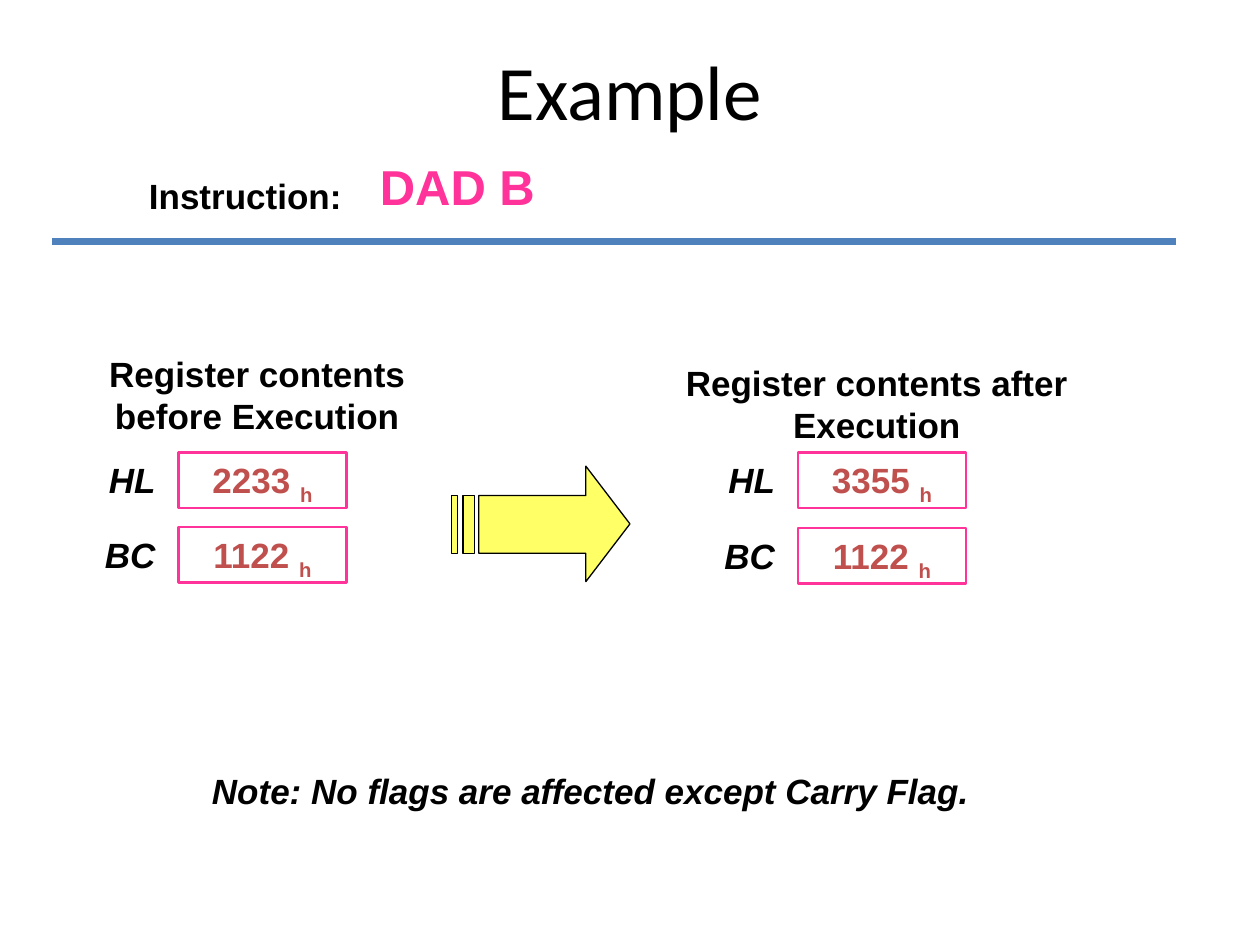
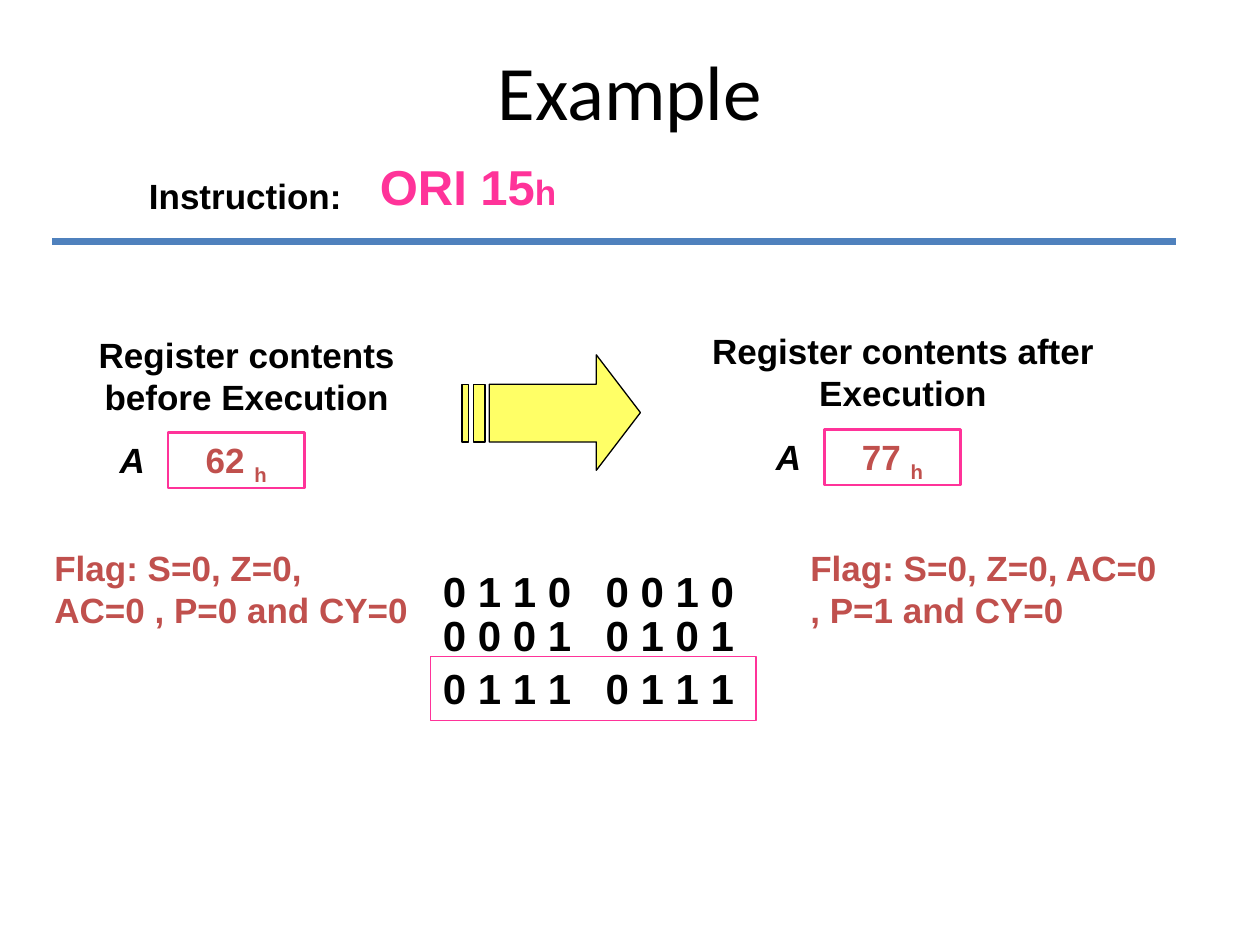
from lxml.etree import SubElement as Sub
from pptx import Presentation
from pptx.dml.color import RGBColor as Rgb
from pptx.enum.shapes import MSO_CONNECTOR as Conn, MSO_SHAPE as Shape
from pptx.enum.text import MSO_ANCHOR as Anchor, MSO_AUTO_SIZE as Auto, PP_ALIGN as Align
from pptx.oxml.ns import qn
from pptx.util import Pt

PX = 7620
BLACK = Rgb(0x00, 0x00, 0x00)
PINK = Rgb(0xFF, 0x33, 0x99)
RED = Rgb(0xC0, 0x50, 0x4D)
BLUE = Rgb(0x4F, 0x81, 0xBD)
YELLOW = Rgb(0xFF, 0xFF, 0x66)

HEAD = [(128, 0), (128, 28), (26, 28), (26, 83), (128, 83), (128, 110), (170, 55)]
STRIPES = [(11, 22), (0, 6)]


def emu(*sizes):
    return [size * PX for size in sizes]


class Deck:
    def __init__(self):
        self.prs = Presentation()
        self.prs.slide_width, self.prs.slide_height = emu(1200, 900)
        self.slide = None

    def start(self, title, code, tail=""):
        self.slide = self.prs.slides.add_slide(self.prs.slide_layouts[5])
        box = self.slide.shapes.title
        box.left, box.top, box.width, box.height = emu(90, 10, 1020, 150)
        frame = box.text_frame
        frame.text = title
        frame.vertical_anchor = Anchor.MIDDLE
        frame.paragraphs[0].alignment = Align.CENTER
        self.style(frame.paragraphs[0].runs[0], 44, bold=False, face="Calibri")
        self.text(130, 160, 220, 51, "Instruction:")
        para = self.text(350, 143, 340, 68, code, size=28, color=PINK)
        if tail:
            self.style(self.add(para, tail), 20, PINK)
        self.rule(50, 230, 1120)

    def style(self, run, size=20, color=BLACK, bold=True, slant=False, face="Arial"):
        font = run.font
        font.name, font.size = face, Pt(size)
        font.bold, font.italic = bold, slant
        font.color.rgb = color

    def add(self, para, text):
        run = para.add_run()
        run.text = text
        return run

    def label(self, shape, text, align=Align.LEFT, **look):
        frame = shape.text_frame
        frame.word_wrap = True
        frame.auto_size = Auto.SHAPE_TO_FIT_TEXT
        frame.vertical_anchor = Anchor.TOP
        frame.text = text
        para = frame.paragraphs[0]
        para.alignment = align
        self.style(para.runs[0], **look)
        return para

    def text(self, x, y, w, h, text, **look):
        box = self.slide.shapes.add_textbox(*emu(x, y, w, h))
        return self.label(box, text, **look)

    def frame(self, x, y, w, h, text, width=1.5, **look):
        box = self.slide.shapes.add_shape(Shape.RECTANGLE, *emu(x, y, w, h))
        box.shadow.inherit = False
        box.fill.background()
        box.line.color.rgb = PINK
        box.line.width = Pt(width)
        return self.label(box, text, **look)

    def rule(self, x, y, end):
        line = self.slide.shapes.add_connector(Conn.STRAIGHT, *emu(x, y, end, y))
        line.line.color.rgb = BLUE
        line.line.width = Pt(4.5)
        Sub(line._element.spPr, qn("a:effectLst"))

    def arrow(self, x, y):
        bars = [[(a, 28), (a, 83), (b, 83), (b, 28)] for a, b in STRIPES]
        pen = self.slide.shapes.build_freeform(*HEAD[0], scale=PX)
        pen.add_line_segments(HEAD[1:])
        for bar in bars:
            pen.move_to(*bar[0])
            pen.add_line_segments(bar[1:])
        shape = pen.convert_to_shape(*emu(x, y))
        shape.shadow.inherit = False
        shape.fill.solid()
        shape.fill.fore_color.rgb = YELLOW
        shape.line.color.rgb = BLACK
        shape.line.width = Pt(0.75)

    def state(self, x, y, when, top, width, rows, pitch=71):
        self.text(x, y, 390, 92, f"Register contents {when} Execution", align=Align.CENTER)
        for i, (name, value) in enumerate(rows):
            row = top + i * pitch
            para = self.frame(x + 120, row, width, 53, f"{value} ",
                              align=Align.CENTER, color=RED)
            run = self.add(para, "h")
            self.style(run, color=RED)
            run._r.get_or_add_rPr().set("baseline", "-25000")
            self.text(x, row, 110, 51, name, align=Align.RIGHT, slant=True)

    def flags(self, x, width, text):
        self.text(x, 515, width, 92, text, color=RED)

    def tab(self, para, x):
        tabs = Sub(para._p.get_or_add_pPr(), qn("a:tabLst"))
        Sub(tabs, qn("a:tab"), pos=str(x * PX), algn="l")

    def bits(self, x, y, w, text, framed=False):
        if framed:
            para = self.frame(x, y, w, 61, text, width=0.75, size=24)
        else:
            para = self.text(x, y, w, 61, text, size=24)
        self.tab(para, 155)


def main():
    deck = Deck()

    deck.start("Example", "DAD B")
    deck.arrow(430, 444)
    deck.state(50, 330, "before", 431, 160, [("HL", "2233"), ("BC", "1122")])
    deck.state(640, 338, "after", 431, 160, [("HL", "3355"), ("BC", "1122")], 72)
    deck.text(190, 727, 760, 51, "Note: No flags are affected except Carry Flag.", slant=True)

    deck.start("Example", "ORI 15", "h")
    deck.arrow(440, 338)
    deck.bits(410, 533, 350, "0 1 1 0\t0 0 1 0")
    deck.bits(410, 575, 350, "0 0 0 1\t0 1 0 1")
    deck.bits(410, 625, 310, "0 1 1 1\t0 1 1 1", framed=True)
    deck.state(40, 312, "before", 412, 130, [("A", "62")])
    deck.flags(40, 370, "Flag: S=0, Z=0, AC=0 , P=0 and CY=0")
    deck.state(665, 308, "after", 409, 130, [("A", "77")])
    deck.flags(760, 360, "Flag: S=0, Z=0, AC=0 , P=1 and CY=0")

    deck.prs.save("out.pptx")


if __name__ == "__main__":
    main()
